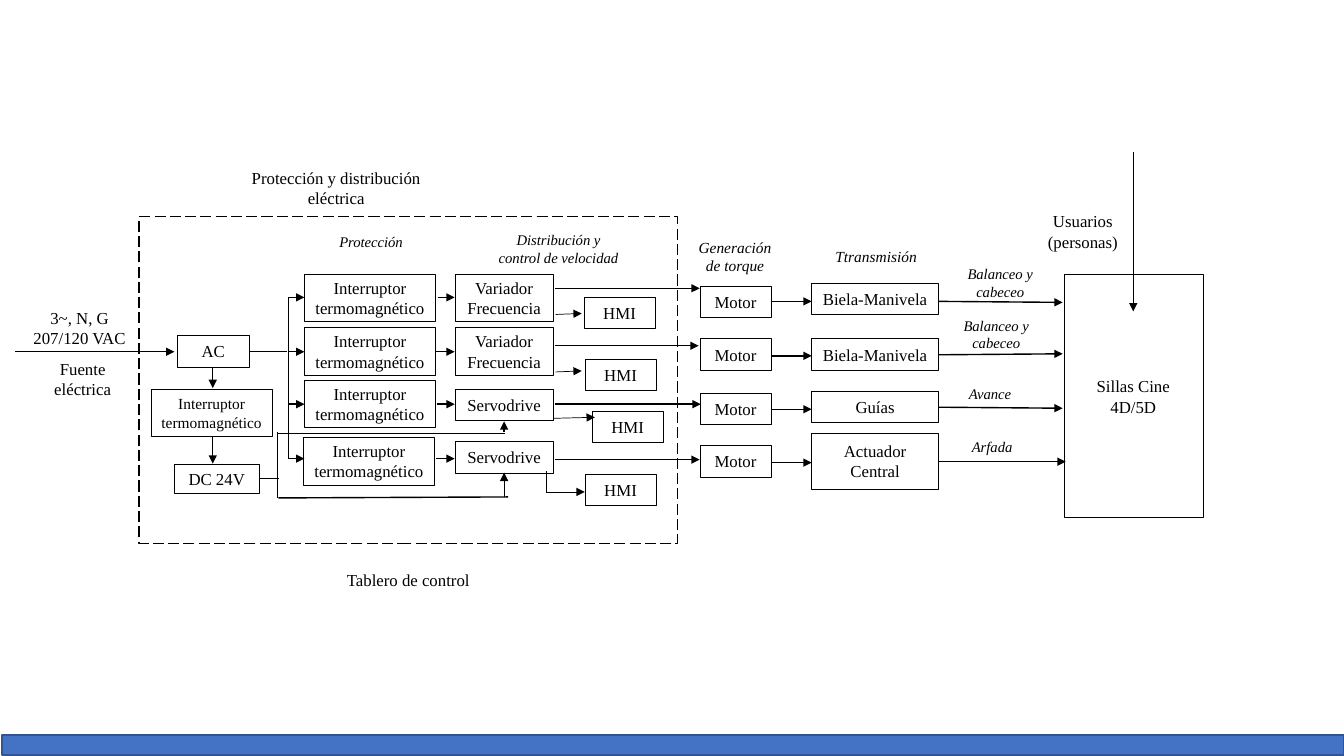
"""Block diagram of the control and drive system of a 4D/5D cinema seat."""
import pptx
import pptx.util
import pptx.dml.color
import pptx.enum.dml
import pptx.enum.shapes
import pptx.enum.text
import pptx.oxml.ns
import lxml.etree

Inches = pptx.util.Inches
Pt = pptx.util.Pt
qn = pptx.oxml.ns.qn
COLORS = {"ink": "000000", "paper": "FFFFFF", "bar": "4472C4", "edge": "325491"}


def paint(name):
    return pptx.dml.color.RGBColor.from_string(COLORS[name])


def write(frame, text, size=12, italic=False, anchor="MIDDLE", lead=None, after=0):
    frame.word_wrap = True
    frame.vertical_anchor = pptx.enum.text.MSO_ANCHOR[anchor]
    for num, line in enumerate(text.split("\n")):
        para = frame.add_paragraph() if num else frame.paragraphs[0]
        para.alignment = pptx.enum.text.PP_ALIGN.CENTER
        para.space_after = Pt(after)
        if lead:
            para.line_spacing = lead
        run = para.add_run()
        run.text = line
        run.font.name = "Times New Roman"
        run.font.size = Pt(size)
        run.font.italic = italic
        run.font.color.rgb = paint("ink")


class Chart:
    def __init__(self, slide):
        self.slide = slide

    def box(self, left, top, wide, high, text="", fill="paper", line="ink",
            width=0.25, dash=False, **style):
        rect = pptx.enum.shapes.MSO_SHAPE.RECTANGLE
        shape = self.slide.shapes.add_shape(
            rect, Inches(left), Inches(top), Inches(wide), Inches(high))
        shape.shadow.inherit = False
        shape.fill.solid()
        shape.fill.fore_color.rgb = paint(fill)
        if line:
            shape.line.color.rgb = paint(line)
            shape.line.width = Pt(width)
        else:
            shape.line.fill.background()
        if dash:
            shape.line.dash_style = pptx.enum.dml.MSO_LINE.LONG_DASH
        if text:
            write(shape.text_frame, text, **style)

    def label(self, left, top, wide, high, text, **style):
        area = self.slide.shapes.add_textbox(
            Inches(left), Inches(top), Inches(wide), Inches(high))
        write(area.text_frame, text, **style)

    def wire(self, x1, y1, x2, y2, width=1, arrow=True):
        kind = pptx.enum.shapes.MSO_CONNECTOR.STRAIGHT
        link = self.slide.shapes.add_connector(
            kind, Inches(x1), Inches(y1), Inches(x2), Inches(y2))
        link.line.color.rgb = paint("ink")
        link.line.width = Pt(width)
        if arrow:
            tail = lxml.etree.SubElement(link.line._get_or_add_ln(), qn("a:tailEnd"))
            tail.set("type", "triangle")
        lxml.etree.SubElement(link._element.spPr, qn("a:effectLst"))


deck = pptx.Presentation()
deck.slide_width, deck.slide_height = Inches(13.33), Inches(7.5)
chart = Chart(deck.slides.add_slide(deck.slide_layouts[6]))
BREAKER = "Interruptor\ntermomagnético"

chart.box(0.16, 3.02, 1.26, 0.47, "3~, N, G\n207/120 VAC", line=None)
chart.box(1.38, 2.15, 5.34, 3.24, width=1, dash=True)
chart.box(0.02, 7.29, 13.31, 0.2, fill="bar", line="edge", width=1)

chart.box(1.76, 3.33, 0.71, 0.31, "AC")
chart.box(1.5, 3.86, 1.2, 0.47, BREAKER, size=11)
chart.box(1.73, 4.6, 0.84, 0.29, "DC 24V")
chart.box(10.55, 2.72, 1.38, 2.41, "Sillas Cine 4D/5D", lead=1.07, after=8)

for left, top in ((3.02, 2.72), (3.02, 3.25), (3.02, 3.77), (3.01, 4.34)):
    chart.box(left, top, 1.3, 0.47, BREAKER)
for top, high, text in ((2.72, 0.47, "Variador Frecuencia"),
                        (3.25, 0.47, "Variador Frecuencia"),
                        (3.86, 0.31, "Servodrive"), (4.38, 0.31, "Servodrive")):
    chart.box(4.51, top, 0.98, high, text)
for left, top in ((5.79, 2.95), (5.8, 3.56), (5.87, 4.08), (5.8, 4.7)):
    chart.box(left, top, 0.71, 0.31, "HMI")
for top in (2.84, 3.36, 3.9, 4.42):
    chart.box(6.94, top, 0.71, 0.31, "Motor")
for top, high, text in ((2.81, 0.31, "Biela-Manivela"), (3.36, 0.31, "Biela-Manivela"),
                        (3.88, 0.31, "Guías"), (4.3, 0.55, "Actuador Central")):
    chart.box(8.05, top, 1.26, high, text)

for place in ((0.15, 3.49, 1.73, 3.49), (2.11, 3.64, 2.11, 3.85),
              (2.11, 4.33, 2.11, 4.6), (11.24, 1.51, 11.24, 3.09),
              (5, 4.29, 5, 4.18)):
    chart.wire(*place)
chart.wire(5, 4.93, 5, 4.69, width=0.5)
for place in ((2.48, 3.49, 2.85, 3.49), (2.86, 2.95, 2.86, 4.55),
              (2.57, 4.75, 2.77, 4.75), (2.75, 4.29, 2.75, 4.94),
              (2.76, 4.94, 5.04, 4.93), (2.76, 4.3, 5.01, 4.3)):
    chart.wire(*place, arrow=False)
for y, start in ((2.95, 4.34), (3.49, 4.31), (4.01, 4.33), (4.55, 4.32)):
    chart.wire(2.86, y, 3.02, y)
    chart.wire(start, y, 4.51, y)
for y, end in ((2.86, 6.94), (3.43, 6.93), (4.01, 6.95), (4.56, 6.94)):
    chart.wire(5.5, y, end, y)
for y in (2.99, 3.53, 4.06, 4.59):
    chart.wire(7.65, y, 8.05, y)
for y1, y2, end in ((2.99, 3, 10.54), (3.52, 3.51, 10.54),
                    (4.04, 4.05, 10.54), (4.58, 4.58, 10.57)):
    chart.wire(9.31, y1, end, y2)
for x1, y1, x2, y2 in ((5.51, 3.12, 5.77, 3.11), (5.51, 3.69, 5.77, 3.68),
                       (5.49, 4.15, 5.9, 4.14), (5.42, 4.88, 5.8, 4.88)):
    chart.wire(x1, y1, x2, y2, width=0.5)
chart.wire(5.42, 4.88, 5.42, 4.67, width=0.5, arrow=False)

chart.label(2.35, 1.63, 1.97, 0.47, "Protección y distribución eléctrica")
chart.label(0.33, 3.52, 0.98, 0.47, "Fuente eléctrica")
chart.label(10.25, 2, 0.98, 0.59, "Usuarios (personas)")
chart.label(3.24, 5.6, 1.62, 0.3, "Tablero de control", anchor="TOP")
for left, top, wide, high, text, size in (
        (3.19, 2.26, 0.98, 0.28, "Protección", 10.5),
        (4.82, 2.24, 1.44, 0.45, "Distribución y control de velocidad", 10.5),
        (6.8, 2.31, 0.98, 0.47, "Generación de torque", 11),
        (8.18, 2.4, 1.02, 0.29, "Ttransmisión", 11),
        (9.43, 2.57, 0.98, 0.47, "Balanceo y cabeceo", 10.5),
        (9.39, 3.08, 0.98, 0.47, "Balanceo y cabeceo", 10.5),
        (9.33, 3.76, 0.98, 0.29, "Avance", 10.5),
        (9.35, 4.29, 0.98, 0.29, "Arfada", 10.5)):
    chart.label(left, top, wide, high, text, size=size, italic=True)

deck.save("out.pptx")
